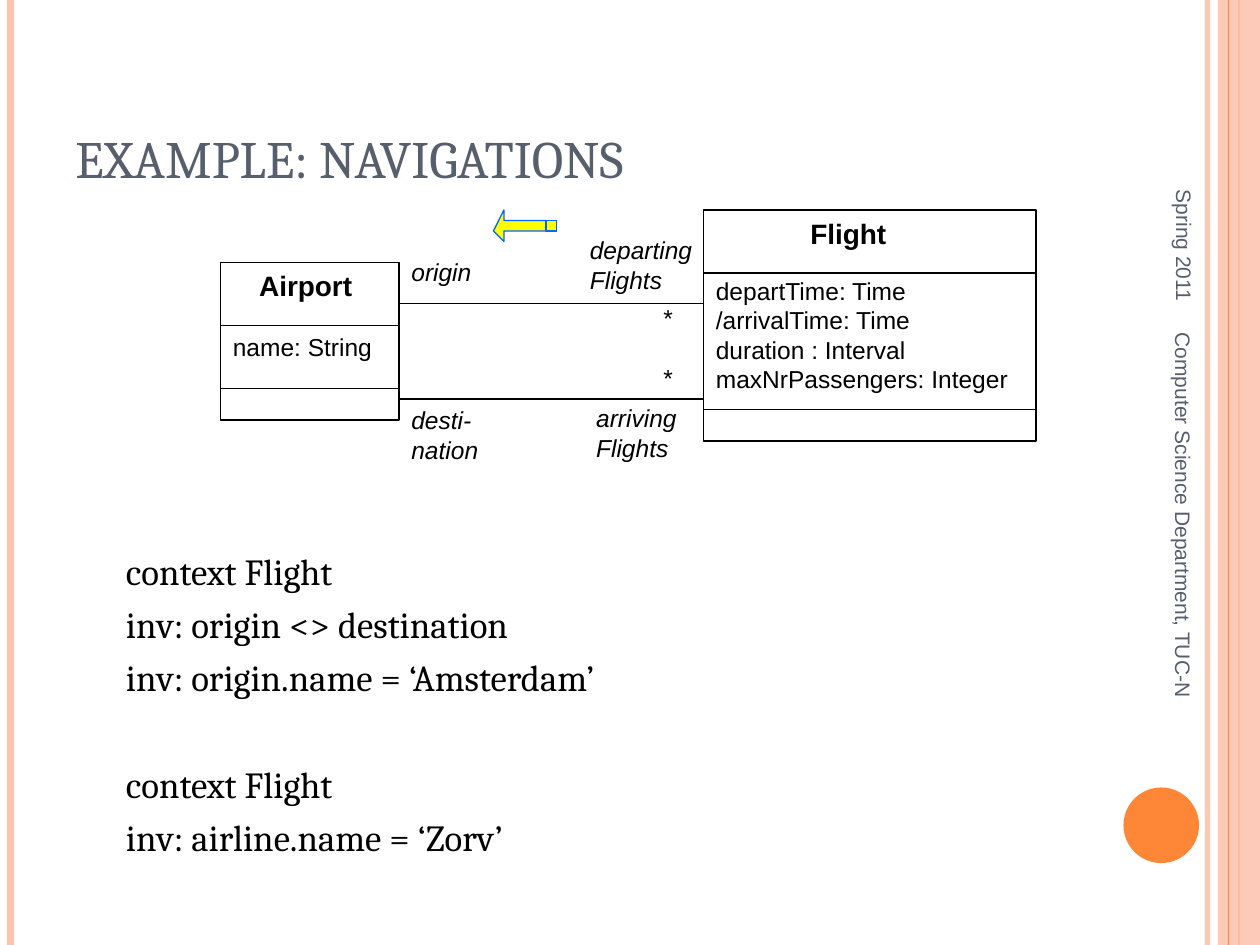
from lxml.etree import SubElement
from pptx import Presentation
from pptx.dml.color import RGBColor
from pptx.enum.shapes import MSO_CONNECTOR as Connector, MSO_SHAPE as Shape
from pptx.enum.text import MSO_ANCHOR as Anchor, MSO_AUTO_SIZE as AutoSize, PP_ALIGN as Align
from pptx.oxml.ns import qn
from pptx.util import Inches, Pt

COLUMNS, ROWS = 120, 90  # twelve grid cells to the inch
BLACK, SLATE, ORANGE, PEACH = "000000", "575F6D", "FE8637", "FEC3AE"
YELLOW, BLUE = "FFFF00", "0066FF"


def grid(*cells):
    return [Inches(cell / 12) for cell in cells]


def paint(color_format, color):
    color_format.rgb = RGBColor.from_string(color)


def set_opacity(element, percent):
    """Make the solid colour found inside an element partly transparent."""
    color = next(element.iter(qn("a:srgbClr")))
    SubElement(color, qn("a:alpha"), val=str(percent * 1000))


def add_line(page, start, end, color=BLACK, width=1, opacity=100):
    line = page.shapes.add_connector(Connector.STRAIGHT, *grid(*start, *end))
    paint(line.line.color, color)
    line.line.width = Pt(width)
    properties = line._element.spPr
    if opacity < 100:
        set_opacity(properties, opacity)
    SubElement(properties, qn("a:effectLst"))


def style(figure, fill=None, line=None, width=1, opacity=100):
    figure.shadow.inherit = False
    if fill:
        figure.fill.solid()
        paint(figure.fill.fore_color, fill)
        if opacity < 100:
            set_opacity(figure._element.spPr, opacity)
    else:
        figure.fill.background()
    if line:
        paint(figure.line.color, line)
        figure.line.width = Pt(width)
    else:
        figure.line.fill.background()


def add_figure(page, kind, place, **look):
    style(page.shapes.add_shape(kind, *grid(*place)), **look)


def add_outline(page, contours, **look):
    """Draw closed contours, given as lists of grid points, as one shape."""
    (first, *rest), *others = contours
    builder = page.shapes.build_freeform(*first, scale=Inches(1 / 12))
    builder.add_line_segments(rest)
    for start, *points in others:
        builder.move_to(*start)
        builder.add_line_segments(points)
    style(builder.convert_to_shape(), **look)


def add_text(page, text, place, size=14, font="Arial", color=BLACK, bold=False,
             italic=False, align=Align.LEFT, anchor=Anchor.TOP, rotation=0,
             wrap=False, left=0.1, top=0.05, gaps=()):
    """Write one paragraph a line; gaps holds the space before each one."""
    box = page.shapes.add_textbox(*grid(*place))
    box.rotation = rotation
    frame = box.text_frame
    frame.word_wrap = wrap
    frame.auto_size = AutoSize.NONE if wrap else AutoSize.SHAPE_TO_FIT_TEXT
    frame.vertical_anchor = anchor
    frame.margin_left, frame.margin_top = Inches(left), Inches(top)
    frame.text = text
    for index, para in enumerate(frame.paragraphs):
        para.alignment = align
        if gaps:
            para.space_before = Pt(gaps[index])
        for span in para.runs:
            span.font.name, span.font.size = font, Pt(size)
            span.font.bold, span.font.italic = bold, italic
            paint(span.font.color, color)


def add_class(page, place, separators):
    """Draw a class box with lines at the given rows."""
    left, _, width, _ = place
    add_figure(page, Shape.RECTANGLE, place, line=BLACK)
    for row in separators:
        add_line(page, (left, row), (left + width, row))


def add_frame(page):
    def stripe(column, color, width, opacity=100):
        add_line(page, (column, 0), (column, ROWS), color, width, opacity)

    stripe(115, PEACH, 3, 93)
    stripe(1, PEACH, 4.5)
    stripe(118, ORANGE, 1.5)
    add_figure(page, Shape.RECTANGLE, (116, 0, COLUMNS - 116, ROWS), fill=PEACH, opacity=87)
    stripe(117, ORANGE, 0.75)
    add_figure(page, Shape.OVAL, (107, 75, 7.2, 7.2), fill=ORANGE)

    side = dict(size=12, color=SLATE, anchor=Anchor.MIDDLE, rotation=90, wrap=True)
    add_text(page, "Spring 2011", (99.6, 14.2, 26.4, 5), align=Align.RIGHT, **side)
    add_text(page, "Computer Science Department, TUC-N", (91.7, 49.1, 42, 4.8), **side)


def add_direction_arrow(page):
    top, bottom = 20.75, 22.25
    arrow = [(47, 21.5), (48.5, 20), (48.5, top), (52.1, top),
             (52.1, bottom), (48.5, bottom), (48.5, 23)]
    stripes = [[(left, top), (right, top), (right, bottom), (left, bottom)]
               for left, right in ((52.25, 52.65), (52.8, 53))]
    add_outline(page, [arrow, *stripes], fill=YELLOW, line=BLUE, width=0.75)


def add_diagram(page):
    add_class(page, (67, 20, 31.7, 22), separators=(26, 39))
    add_class(page, (21, 25, 17, 15), separators=(31, 37))
    add_text(page, "Airport", (23.5, 25, 11.4, 4.4), size=16, bold=True)
    add_text(page, "Flight", (76, 20, 9.8, 4.4), size=16, bold=True)
    add_text(page, "name: String", (21, 31, 15.8, 4))
    add_text(page, "departTime: Time\n/arrivalTime: Time\nduration : Interval\n"
                   "maxNrPassengers: Integer", (67, 25.7, 30.3, 12.5))

    for row in (28.9, 38):
        add_line(page, (38, row), (67, row))
    for row in (28.3, 34):
        add_text(page, "*", (62, row, 3.4, 4))
    for role, place in (
        ("origin", (38, 23.9, 8.3, 4)),
        ("desti-\nnation", (38, 38, 8.9, 6.8)),
        ("arriving\nFlights", (55.6, 37.8, 10.3, 6.8)),
        ("departing\nFlights", (55, 21.8, 12.3, 6.8)),
    ):
        add_text(page, role, place, italic=True)
    add_direction_arrow(page)


def main():
    deck = Presentation()
    deck.slide_width, deck.slide_height = grid(COLUMNS, ROWS)
    page = deck.slides.add_slide(deck.slide_layouts[6])
    add_frame(page)
    add_text(page, "EXAMPLE: NAVIGATIONS", (6, 3.6, 98, 15), size=30, font="Cambria",
             color=SLATE, anchor=Anchor.BOTTOM, wrap=True)
    add_text(page, "context Flight\ninv: origin <> destination\n"
                   "inv: origin.name = ‘Amsterdam’\n"
                   "context Flight\ninv: airline.name = ‘Zorv’",
             (6, 46, 102, 41.2), size=21, font="Cambria", wrap=True, left=0.5,
             top=0.52, gaps=(0, 5.2, 5.2, 35.6, 5.2))
    add_diagram(page)
    deck.save("out.pptx")


if __name__ == "__main__":
    main()
